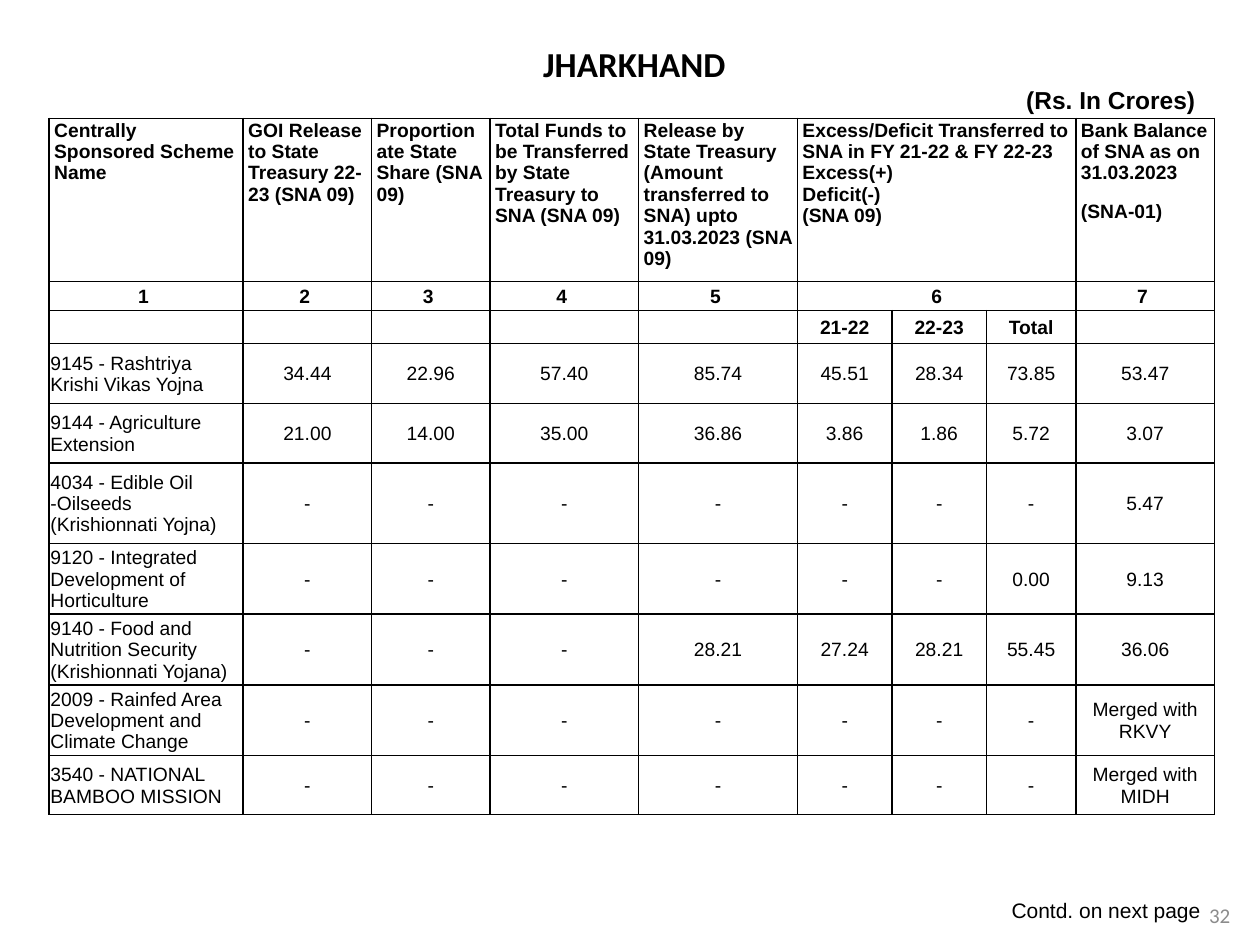
from lxml import etree
from pptx import Presentation
from pptx.dml.color import RGBColor
from pptx.enum.text import MSO_ANCHOR, MSO_AUTO_SIZE, PP_ALIGN
from pptx.oxml.ns import qn
from pptx.util import Inches, Pt

LEFT, MID, RIGHT = PP_ALIGN.LEFT, PP_ALIGN.CENTER, PP_ALIGN.RIGHT
TOP, CENTRE = MSO_ANCHOR.TOP, MSO_ANCHOR.MIDDLE
FIT = MSO_AUTO_SIZE.SHAPE_TO_FIT_TEXT
COLORS = {"ink": "000000", "grey": "8C8C8C"}
UNIT = 0.1  # inches per grid step: 100 columns by 75 rows

WIDTHS = [15.4, 10.2, 9.4, 11.8, 12.6, 7.5, 7.5, 7.1, 11]
HEIGHTS = [12.9, 2.3, 2.6, 4.8, 4.7, 6.4, 5.6, 5.6, 5.6, 4.7]
SPAN = (5, 7)

HEADS = [
    "Centrally Sponsored Scheme Name",
    "GOI Release to State Treasury 22-23 (SNA 09)",
    "Proportionate State Share (SNA 09)",
    "Total Funds to be Transferred by State Treasury to SNA (SNA 09)",
    "Release by State Treasury (Amount transferred to SNA) upto "
    "31.03.2023 (SNA 09)",
    "Excess/Deficit Transferred to SNA in FY 21-22 & FY 22-23\n"
    "Excess(+)\nDeficit(-)\n(SNA 09)",
    "", "",
    "Bank Balance of SNA as on 31.03.2023\n(SNA-01)",
]
MARKS = ["1 ", "2 ", "3 ", "4 ", "5 ", "6", "", "", "7 "]
YEARS = [""] * 5 + ["21-22", "22-23", "Total", ""]
DASH = ["-"] * 7
SCHEMES = [
    ["9145 - Rashtriya Krishi Vikas Yojna", "34.44", "22.96", "57.40",
     "85.74", "45.51", "28.34", "73.85", "53.47"],
    ["9144 - Agriculture Extension", "21.00", "14.00", "35.00",
     "36.86", "3.86", "1.86", "5.72", "3.07"],
    ["4034 - Edible Oil -Oilseeds (Krishionnati Yojna)", *DASH, "5.47"],
    ["9120 - Integrated Development of Horticulture", *DASH[:6], "0.00",
     "9.13"],
    ["9140 - Food and Nutrition Security (Krishionnati Yojana)", *DASH[:3],
     "28.21", "27.24", "28.21", "55.45", "36.06"],
    ["2009 - Rainfed Area Development and Climate Change", *DASH,
     "Merged with RKVY"],
    ["3540 - NATIONAL BAMBOO MISSION", *DASH, "Merged with MIDH"],
]


def step(count):
    return Inches(round(count * UNIT, 2))


def assign(target, values):
    for name, value in values.items():
        setattr(target, name, value)


class Page:
    def __init__(self, deck):
        self.slide = deck.slides.add_slide(deck.slide_layouts[6])
        self.font = {"name": "Arial", "size": Pt(11), "bold": False}

    def put(self, para, text, color="ink", font=None, form=None):
        """Fill a paragraph with one formatted run."""
        assign(para, form or {})
        run = para.add_run()
        run.text = text
        assign(run.font, {**self.font, **(font or {})})
        run.font.color.rgb = RGBColor.from_string(COLORS[color])

    def text(self, area, lines, frame=None):
        """Add a text box; each line holds the arguments of put."""
        box = self.slide.shapes.add_textbox(*map(step, area)).text_frame
        assign(box, {"word_wrap": True, **(frame or {})})
        for i, line in enumerate(lines):
            para = box.add_paragraph() if i else box.paragraphs[0]
            self.put(para, **line)

    def edge(self, cell):
        cell.fill.background()
        props = cell._tc.get_or_add_tcPr()
        for i, side in enumerate("LRTB"):
            line = etree.Element(qn(f"a:ln{side}"), w=str(Pt(1)))
            fill = etree.SubElement(line, qn("a:solidFill"))
            etree.SubElement(fill, qn("a:srgbClr"), val=COLORS["ink"])
            props.insert(i, line)

    def cell(self, cell, text, pad, anchor, bold, form):
        self.edge(cell)
        assign(cell, {"margin_left": Inches(pad), "margin_right": Inches(pad),
                      "margin_top": Inches(0.01), "margin_bottom": 0,
                      "vertical_anchor": anchor})
        frame = cell.text_frame
        if not text:
            frame.paragraphs[0]._p.get_or_add_endParaRPr().set("sz", "1100")
            return
        for i, line in enumerate(text.split("\n")):
            para = frame.add_paragraph() if i else frame.paragraphs[0]
            self.put(para, line, font={"bold": bold}, form=form)

    def table(self, left, top, rows):
        """Add the table; each row is its texts and a format per column."""
        area = left, top, sum(WIDTHS), sum(HEIGHTS)
        grid = self.slide.shapes.add_table(
            len(HEIGHTS), len(WIDTHS), *map(step, area)).table
        assign(grid, {"first_row": False, "horz_banding": False})
        for col, width in zip(grid.columns, WIDTHS):
            col.width = step(width)
        for r, (texts, style) in enumerate(rows):
            grid.rows[r].height = step(HEIGHTS[r])
            for c, text in enumerate(texts):
                self.cell(grid.cell(r, c), text, **style(c))
        for r in range(2):
            grid.cell(r, SPAN[0]).merge(grid.cell(r, SPAN[1]))


def head(col):
    gap = 0 if col == SPAN[0] else 10
    return {"pad": 0.04, "anchor": TOP, "bold": True,
            "form": {"alignment": LEFT, "space_after": Pt(gap)}}


def mark(col):
    return {"pad": 0.04, "anchor": TOP, "bold": True,
            "form": {"alignment": MID, "line_spacing": 1.15,
                     "space_after": Pt(10)}}


def year(col):
    return {"pad": 0.01, "anchor": CENTRE, "bold": True,
            "form": {"alignment": MID}}


def data(col):
    return {"pad": 0.01, "anchor": CENTRE, "bold": False,
            "form": {"alignment": MID if col else LEFT}}


def main():
    deck = Presentation()
    assign(deck, {"slide_width": step(100), "slide_height": step(75)})
    page = Page(deck)
    page.text((4.3, 2.9, 92.1, 6.7), [
        {"text": "JHARKHAND", "form": {"alignment": MID},
         "font": {"name": "Calibri", "size": Pt(20), "bold": True}},
        {"text": "(Rs. In Crores) ", "form": {"alignment": RIGHT},
         "font": {"size": Pt(14), "bold": True}},
    ], {"auto_size": FIT})
    page.table(3.9, 9.4, [(HEADS, head), (MARKS, mark), (YEARS, year)]
               + [(row, data) for row in SCHEMES])
    page.text((94.8, 70.6, 4, 4), [
        {"text": "32", "color": "grey", "form": {"alignment": MID},
         "font": {"name": "Calibri", "size": Pt(12)}},
    ], {"vertical_anchor": CENTRE})
    page.text((79.3, 70.7, 17.1, 3), [
        {"text": "Contd. on next page", "font": {"size": Pt(12)}},
    ], {"vertical_anchor": CENTRE, "word_wrap": False, "auto_size": FIT})
    deck.save("out.pptx")


if __name__ == "__main__":
    main()
